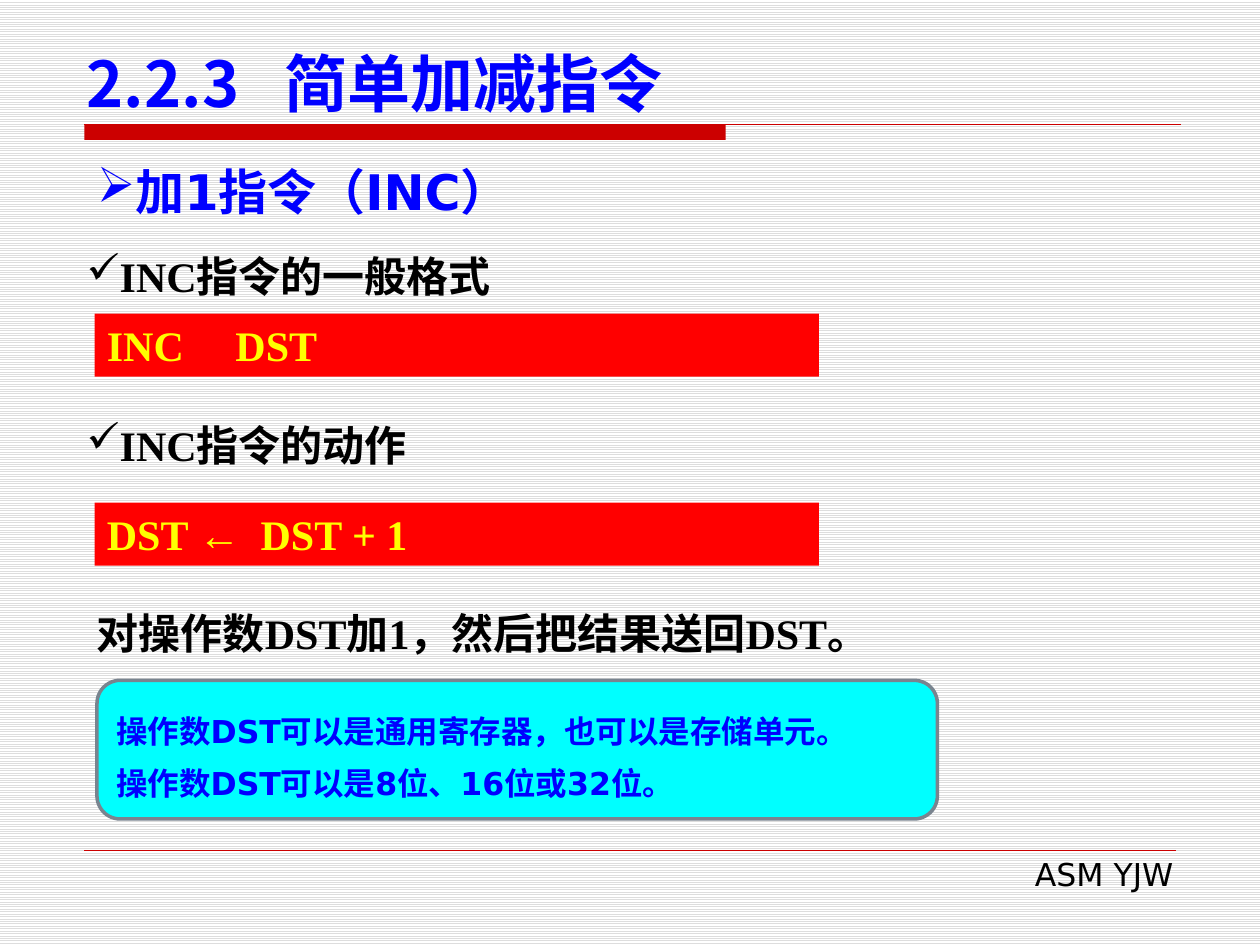
from lxml import etree
from pptx import Presentation
from pptx.dml.color import RGBColor
from pptx.enum import dml, shapes, text
from pptx.oxml.ns import qn
from pptx.util import Inches, Pt

SERIF, SANS, CJK = "Times New Roman", "DejaVu Sans", "Noto Sans CJK SC"
BLUE, BLACK, YELLOW, RED = "0000FF", "000000", "FFFF00", "FF0000"
RULE_RED, CYAN, GREY = "CC0000", "00FFFF", "79848F"
LEFT, MIDDLE = text.PP_ALIGN.LEFT, text.MSO_ANCHOR.MIDDLE

# Content: place (left, top, width, height), lines, look
title = ((0.59, 0.29, 9.06, 0.71), ["2.2.3\t简单加减指令"],
         dict(size=36, font=CJK, color=BLUE, tab=1.57,
              anchor=text.MSO_ANCHOR.BOTTOM, grow=False))
footer = ((3.82, 6.74, 5.59, 0.4), ["ASM YJW"],
          dict(size=18, font=SANS, bold=False, align=text.PP_ALIGN.RIGHT))
topic = ((0.67, 1.23, 8.66, 0.57), ["加1指令（INC）"],
         dict(size=28, font=SANS, color=BLUE, bullet="➢",
              align=text.PP_ALIGN.JUSTIFY))
headings = [((0.59, 1.94, 8.67, 0.5), ["INC指令的一般格式"], dict(bullet="✓")),
            ((0.59, 3.28, 7.33, 0.5), ["INC指令的动作"], dict(bullet="✓"))]
explanation = ((0.67, 4.77, 9.08, 0.5), ["对操作数DST加1，然后把结果送回DST。"], {})
formulas = [(2.49, "INC\tDST", 1.02), (3.99, "DST ←\tDST + 1", 1.22)]
operand_notes = ["操作数DST可以是通用寄存器，也可以是存储单元。",
                 "操作数DST可以是8位、16位或32位。"]

prs = Presentation()
prs.slide_width, prs.slide_height = Inches(10), Inches(7.5)
slide = prs.slides.add_slide(prs.slide_layouts[6])


def rgb(value):
    return RGBColor.from_string(value)


def write(shape, lines, size=24, font=SERIF, color=BLACK, bold=True, align=LEFT,
          anchor=text.MSO_ANCHOR.TOP, bullet=None, tab=None, spacing=None,
          grow=True):
    frame = shape.text_frame
    frame.word_wrap = True
    frame.vertical_anchor = anchor
    if grow:
        frame.auto_size = text.MSO_AUTO_SIZE.SHAPE_TO_FIT_TEXT
    frame.text = "\n".join(lines)
    for paragraph in frame.paragraphs:
        paragraph.alignment = align
        if spacing:
            paragraph.line_spacing = Pt(spacing)
        props = paragraph._p.get_or_add_pPr()
        if bullet:
            etree.SubElement(props, qn("a:buChar"), char=bullet)
        if tab:
            stops = etree.SubElement(props, qn("a:tabLst"))
            etree.SubElement(stops, qn("a:tab"), pos=str(Inches(tab)), algn="l")
        for run in paragraph.runs:
            run.font.size, run.font.bold = Pt(size), bold
            run.font.name = font
            run.font.color.rgb = rgb(color)
            etree.SubElement(run._r.get_or_add_rPr(), qn("a:ea"), typeface=CJK)


def add_text(place, lines, look):
    write(slide.shapes.add_textbox(*map(Inches, place)), lines, **look)


def add_block(kind, place, fill, outline=None):
    block = slide.shapes.add_shape(kind, *map(Inches, place))
    block.shadow.inherit = False
    block.fill.solid()
    block.fill.fore_color.rgb = rgb(fill)
    if outline:
        block.line.color.rgb, block.line.width = rgb(outline), Pt(2)
    else:
        block.line.fill.background()
    return block


def add_rule(right, y, weight):
    rule = slide.shapes.add_connector(
        shapes.MSO_CONNECTOR.STRAIGHT, *map(Inches, (0.67, y, right, y)))
    rule.line.color.rgb, rule.line.width = rgb(RULE_RED), Pt(weight)
    etree.SubElement(rule._element.spPr, qn("a:effectLst"))


# Striped background
backdrop = slide.background.fill
backdrop.patterned()
backdrop.pattern = dml.MSO_PATTERN.LIGHT_HORIZONTAL
backdrop.fore_color.rgb, backdrop.back_color.rgb = rgb("DDDDDD"), rgb("FFFFFF")

# Title bar, footer rule and footer
RECT = shapes.MSO_SHAPE.RECTANGLE
add_block(RECT, (0.67, 0.99, 5.09, 0.12), RULE_RED)
add_rule(9.37, 0.99, 0.75)
add_rule(9.33, 6.75, 0.25)

# Headings and running text
for part in (footer, title, topic, *headings, explanation):
    add_text(*part)

# Instruction format and action
for top, formula, tab in formulas:
    write(add_block(RECT, (0.75, top, 5.75, 0.5), RED), [formula],
          color=YELLOW, tab=tab)

# Notes on the operand
note_box = add_block(shapes.MSO_SHAPE.ROUNDED_RECTANGLE, (0.77, 5.4, 6.67, 1.1),
                     CYAN, GREY)
write(note_box, operand_notes, size=18, font=SANS, color=BLUE, anchor=MIDDLE,
      spacing=30, grow=False)

prs.save("out.pptx")
